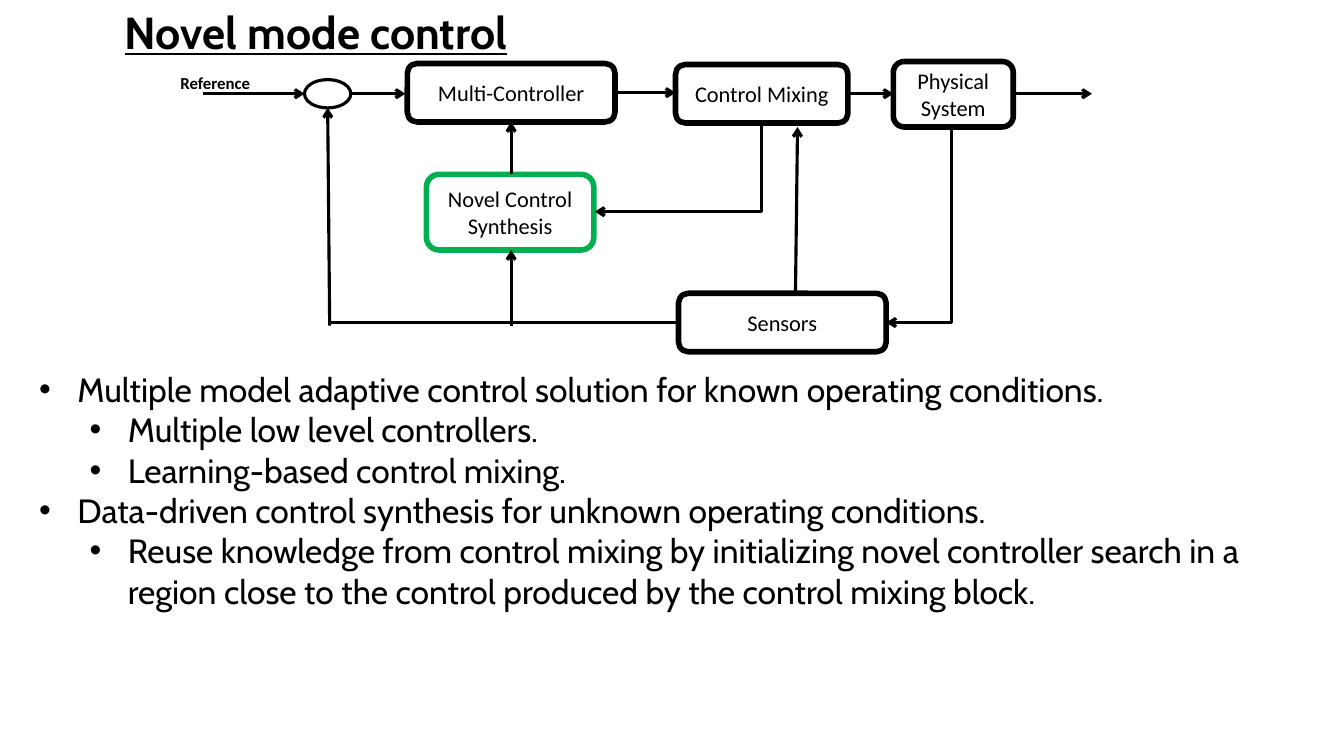
from typing import NamedTuple

from lxml import etree
from pptx import Presentation
from pptx.dml.color import RGBColor
from pptx.enum.shapes import MSO_CONNECTOR, MSO_SHAPE
from pptx.enum.text import MSO_ANCHOR, MSO_AUTO_SIZE, PP_ALIGN
from pptx.oxml.ns import qn
from pptx.util import Inches, Pt

ROUNDED = MSO_SHAPE.ROUNDED_RECTANGLE
ELLIPSE = MSO_SHAPE.OVAL
STRAIGHT, ELBOW = MSO_CONNECTOR.STRAIGHT, MSO_CONNECTOR.ELBOW
MIDDLE, CENTER = MSO_ANCHOR.MIDDLE, PP_ALIGN.CENTER
FIT_SHAPE = MSO_AUTO_SIZE.SHAPE_TO_FIT_TEXT

BLACK, GREEN = "000000", "00B050"
BLOCK_LINE, SIGNAL_LINE = 4, 2.25
BULLET_HANG, LEVEL_STEP = 0.38, 0.5


class Block(NamedTuple):
    label: str
    left: float
    top: float
    width: float
    height: float
    color: str = BLACK


class Signal(NamedTuple):
    x1: float
    y1: float
    x2: float
    y2: float
    arrow: bool = True


class Style(NamedTuple):
    font: str
    size: float
    bold: bool = False
    underline: bool = False


class Bullet(NamedTuple):
    level: int
    text: str


BLOCKS = [
    Block("Novel Control Synthesis", 4.23, 1.73, 1.66, 0.75, GREEN),
    Block("Multi-Controller", 4.04, 0.63, 2.06, 0.58),
    Block("Control Mixing", 6.7, 0.64, 1.71, 0.58),
    Block("Physical System", 8.86, 0.61, 1.19, 0.65),
    Block("Sensors", 6.73, 2.91, 2.06, 0.58),
]
SIGNALS = [
    Signal(2.01, 0.93, 3.02, 0.93),
    Signal(3.48, 0.93, 4.02, 0.93),
    Signal(6.09, 0.92, 6.7, 0.92),
    Signal(8.41, 0.93, 8.86, 0.93),
    Signal(10.04, 0.93, 10.83, 0.93),
    Signal(6.74, 3.2, 3.27, 3.2, arrow=False),
    Signal(3.27, 3.23, 3.25, 1.07),
    Signal(5.07, 3.23, 5.07, 2.48),
    Signal(5.07, 1.73, 5.07, 1.21),
    Signal(7.89, 2.9, 7.91, 1.26),
]
# Each of these runs down first, then left
BENT_SIGNALS = [
    Signal(7.55, 1.22, 5.9, 2.1),
    Signal(9.44, 1.25, 8.79, 3.2),
]
BULLETS = [
    Bullet(0, "Multiple model adaptive control solution for known operating conditions."),
    Bullet(1, "Multiple low level controllers."),
    Bullet(1, "Learning-based control mixing."),
    Bullet(0, "Data-driven control synthesis for unknown operating conditions."),
    Bullet(1, "Reuse knowledge from control mixing by initializing novel controller search in a "
              "region close to the control produced by the control mixing block."),
]
BLOCK_STYLE = Style("Calibri", 16)
REFERENCE_STYLE = Style("Calibri", 12, bold=True)
TITLE_STYLE = Style("Cabin", 32, bold=True, underline=True)
BODY_STYLE = Style("Cabin", 24)


def rgb(color: str) -> RGBColor:
    return RGBColor.from_string(color)


def add_run(paragraph, text: str, style: Style) -> None:
    run = paragraph.add_run()
    run.text = text
    run.font.name = style.font
    run.font.size = Pt(style.size)
    run.font.bold = style.bold
    run.font.underline = style.underline
    run.font.color.rgb = rgb(BLACK)


def add_outline(slide, kind, block: Block, weight: float):
    shape = slide.shapes.add_shape(kind, *map(Inches, block[1:5]))
    shape.shadow.inherit = False
    shape.fill.background()
    shape.line.color.rgb = rgb(block.color)
    shape.line.width = Pt(weight)
    return shape


def add_block(slide, block: Block) -> None:
    frame = add_outline(slide, ROUNDED, block, BLOCK_LINE).text_frame
    frame.word_wrap = True
    frame.vertical_anchor = MIDDLE
    paragraph = frame.paragraphs[0]
    paragraph.alignment = CENTER
    add_run(paragraph, block.label, BLOCK_STYLE)


def add_signal(slide, signal: Signal, kind=STRAIGHT):
    connector = slide.shapes.add_connector(kind, *map(Inches, signal[:4]))
    connector.line.color.rgb = rgb(BLACK)
    connector.line.width = Pt(SIGNAL_LINE)
    if signal.arrow:
        line = connector.line._get_or_add_ln()
        etree.SubElement(line, qn("a:tailEnd"), type="arrow")
    etree.SubElement(connector._element.spPr, qn("a:effectLst"))
    return connector


def add_bent_signal(slide, signal: Signal) -> None:
    # The one-corner elbow is laid out unrotated, then turned a quarter
    center_x, center_y = (signal.x1 + signal.x2) / 2, (signal.y1 + signal.y2) / 2
    half_down, half_across = (signal.y2 - signal.y1) / 2, (signal.x1 - signal.x2) / 2
    unrotated = Signal(center_x - half_down, center_y - half_across,
                       center_x + half_down, center_y + half_across)
    properties = add_signal(slide, unrotated, ELBOW)._element.spPr
    properties.find(qn("a:prstGeom")).set("prst", "bentConnector2")
    properties.find(qn("a:xfrm")).set("rot", str(90 * 60000))


def add_text_frame(slide, left: float, top: float, width: float, height: float):
    box = slide.shapes.add_textbox(*map(Inches, (left, top, width, height)))
    box.text_frame.word_wrap = True
    return box.text_frame


def add_bullet(paragraph, bullet: Bullet) -> None:
    paragraph.level = bullet.level
    properties = paragraph._p.get_or_add_pPr()
    properties.set("marL", str(Inches(BULLET_HANG + bullet.level * LEVEL_STEP)))
    properties.set("indent", str(-Inches(BULLET_HANG)))
    etree.SubElement(properties, qn("a:buFont"), typeface="Arial")
    etree.SubElement(properties, qn("a:buChar"), char="•")
    add_run(paragraph, bullet.text, BODY_STYLE)


def main() -> None:
    presentation = Presentation()
    presentation.slide_width = Inches(13.33)
    presentation.slide_height = Inches(7.5)
    slide = presentation.slides.add_slide(presentation.slide_layouts[6])

    # Title
    title = add_text_frame(slide, 1.14, 0, 10, 0.68)
    add_run(title.paragraphs[0], "Novel mode control", TITLE_STYLE)

    # Block diagram
    for block in BLOCKS:
        add_block(slide, block)
    add_outline(slide, ELLIPSE, Block("", 3.02, 0.79, 0.46, 0.28), SIGNAL_LINE)
    for signal in SIGNALS:
        add_signal(slide, signal)
    for signal in BENT_SIGNALS:
        add_bent_signal(slide, signal)
    reference = add_text_frame(slide, 1.69, 0.67, 1.25, 0.3)
    reference.auto_size = FIT_SHAPE
    add_run(reference.paragraphs[0], "Reference", REFERENCE_STYLE)

    # Bullet list
    body = add_text_frame(slide, 0.29, 3.61, 12.74, 3.74)
    for index, bullet in enumerate(BULLETS):
        paragraph = body.add_paragraph() if index else body.paragraphs[0]
        add_bullet(paragraph, bullet)

    presentation.save("out.pptx")


if __name__ == "__main__":
    main()
